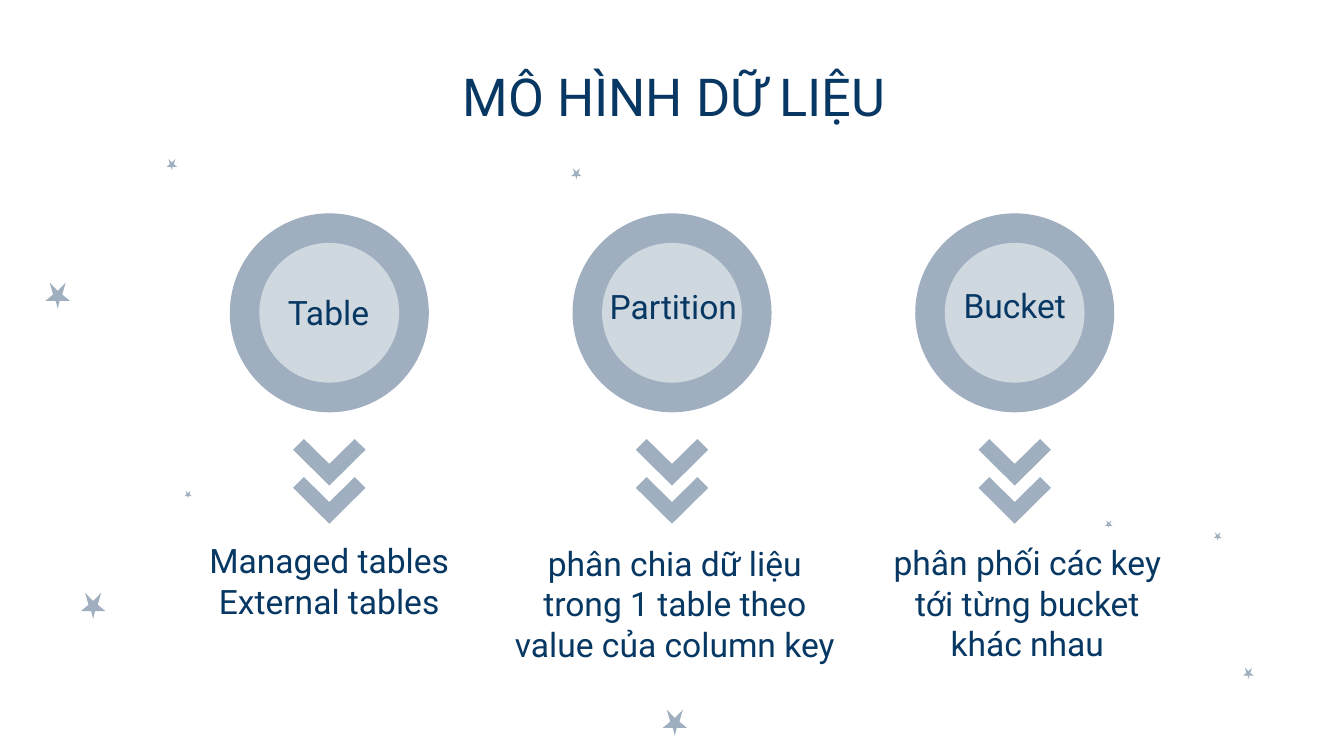
from typing import NamedTuple

import pptx
import pptx.dml.color
import pptx.enum.shapes
import pptx.enum.text
import pptx.util

Pt = pptx.util.Pt
ANCHOR = pptx.enum.text.MSO_ANCHOR

COLORS = {"navy": "073763", "ring": "9FAFBF", "disc": "CFD7DF"}
FONT = "Roboto"

# Outlines: the star is in fractions of its box, the chevron in points
STAR = [(0.5, 1), (0.42, 0.7), (0, 0.7), (0.31, 0.46), (0.17, 0),
        (0.5, 0.32), (0.83, 0), (0.69, 0.46), (1, 0.7), (0.58, 0.7)]
CHEVRON = [(-19.4, 5.8), (-13.6, 0), (0, 13.4), (13.6, 0), (19.4, 5.8), (0, 25)]

FIRST_X, PITCH = 176.4, 183.6
CIRCLE_Y = 167.6
CHEVRON_TOPS = (235.2, 255.6)


class Box(NamedTuple):
    left: float
    top: float
    width: float
    height: float


class Star(NamedTuple):
    left: float
    top: float
    width: float
    height: float


class Column(NamedTuple):
    label: str
    label_box: Box
    detail: str
    detail_box: Box
    detail_anchor: ANCHOR


STARS = [
    Star(355, 380.2, 13, 14), Star(666, 357.8, 5.6, 6), Star(592, 278.8, 4, 4.2),
    Star(650.2, 285.2, 4.3, 4.4), Star(98.8, 262.9, 4, 4.2), Star(306, 90.2, 5.6, 6),
    Star(43.4, 317.6, 13, 14), Star(24.4, 151.4, 13, 14), Star(89.3, 85.2, 5.6, 6),
]

COLUMNS = [
    Column("Table", Box(144.7, 153.4, 62.6, 27.4),
           "Managed tables\nExternal tables", Box(104.4, 282.2, 144, 90.7), ANCHOR.TOP),
    Column("Partition", Box(312.5, 146.9, 96.5, 33.8),
           "phân chia dữ liệu trong 1 table theo value của column key",
           Box(265, 285.8, 193, 67.7), ANCHOR.MIDDLE),
    Column("Bucket", Box(506.2, 149.8, 74.9, 27.4),
           "phân phối các key tới từng bucket khác nhau",
           Box(468.7, 301, 163.4, 36.7), ANCHOR.MIDDLE),
]


def paint(sp, color: str) -> None:
    sp.shadow.inherit = False
    sp.fill.solid()
    sp.fill.fore_color.rgb = pptx.dml.color.RGBColor.from_string(COLORS[color])
    sp.line.fill.background()


def add_polygon(s, points: list[tuple[float, float]], color: str) -> None:
    vertices = [(Pt(x), Pt(y)) for x, y in points]
    builder = s.shapes.build_freeform(*vertices[0])
    builder.add_line_segments(vertices[1:], close=True)
    paint(builder.convert_to_shape(), color)


def add_star(s, star: Star) -> None:
    add_polygon(s, [(star.left + x * star.width, star.top + y * star.height)
                    for x, y in STAR], "ring")


def add_circle(s, x: float, y: float, diameter: float, color: str) -> None:
    sp = s.shapes.add_shape(pptx.enum.shapes.MSO_SHAPE.OVAL,
                            Pt(x - diameter / 2), Pt(y - diameter / 2),
                            Pt(diameter), Pt(diameter))
    paint(sp, color)


def write(sp, text: str, size: float, anchor: ANCHOR = ANCHOR.MIDDLE,
          bottom_inset: float = 7.2) -> None:
    tf = sp.text_frame
    tf.text = text
    tf.word_wrap = True
    tf.auto_size = pptx.enum.text.MSO_AUTO_SIZE.NONE
    tf.vertical_anchor = anchor
    tf.margin_left = tf.margin_right = tf.margin_top = Pt(7.2)
    tf.margin_bottom = Pt(bottom_inset)
    for p in tf.paragraphs:
        p.alignment = pptx.enum.text.PP_ALIGN.CENTER
        p.line_spacing = 1.0
        p.space_before = Pt(0)
        for r in p.runs:
            r.font.name = FONT
            r.font.size = Pt(size)
            r.font.color.rgb = pptx.dml.color.RGBColor.from_string(COLORS["navy"])


def add_text(s, box: Box, text: str, **options) -> None:
    write(s.shapes.add_textbox(*map(Pt, box)), text, 18, **options)


def add_column(s, x: float, column: Column) -> None:
    add_circle(s, x, CIRCLE_Y, 106.6, "ring")
    add_circle(s, x, CIRCLE_Y, 74.9, "disc")
    for top in CHEVRON_TOPS:
        add_polygon(s, [(x + dx, top + dy) for dx, dy in CHEVRON], "ring")
    add_text(s, column.label_box, column.label)
    add_text(s, column.detail_box, column.detail,
             anchor=column.detail_anchor, bottom_inset=0)


def main() -> None:
    prs = pptx.Presentation()
    prs.slide_width, prs.slide_height = Pt(720), Pt(405)
    s = prs.slides.add_slide(prs.slide_layouts[5])

    title = s.shapes.title
    title.left, title.top, title.width, title.height = map(Pt, Box(56.2, 29.5, 609.8, 43.9))
    write(title, "MÔ HÌNH DỮ LIỆU", 28)

    for star in STARS:
        add_star(s, star)
    for i, column in enumerate(COLUMNS):
        add_column(s, FIRST_X + i * PITCH, column)
    prs.save("out.pptx")


if __name__ == "__main__":
    main()
